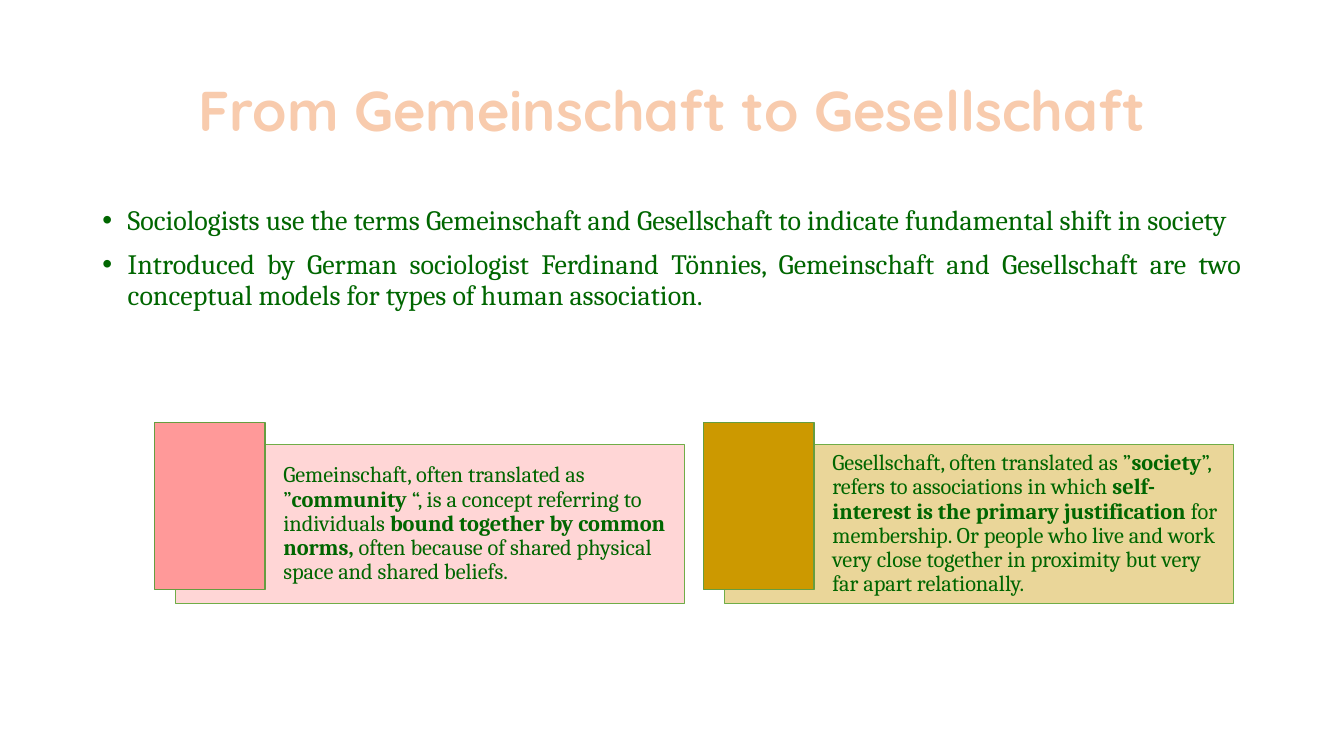
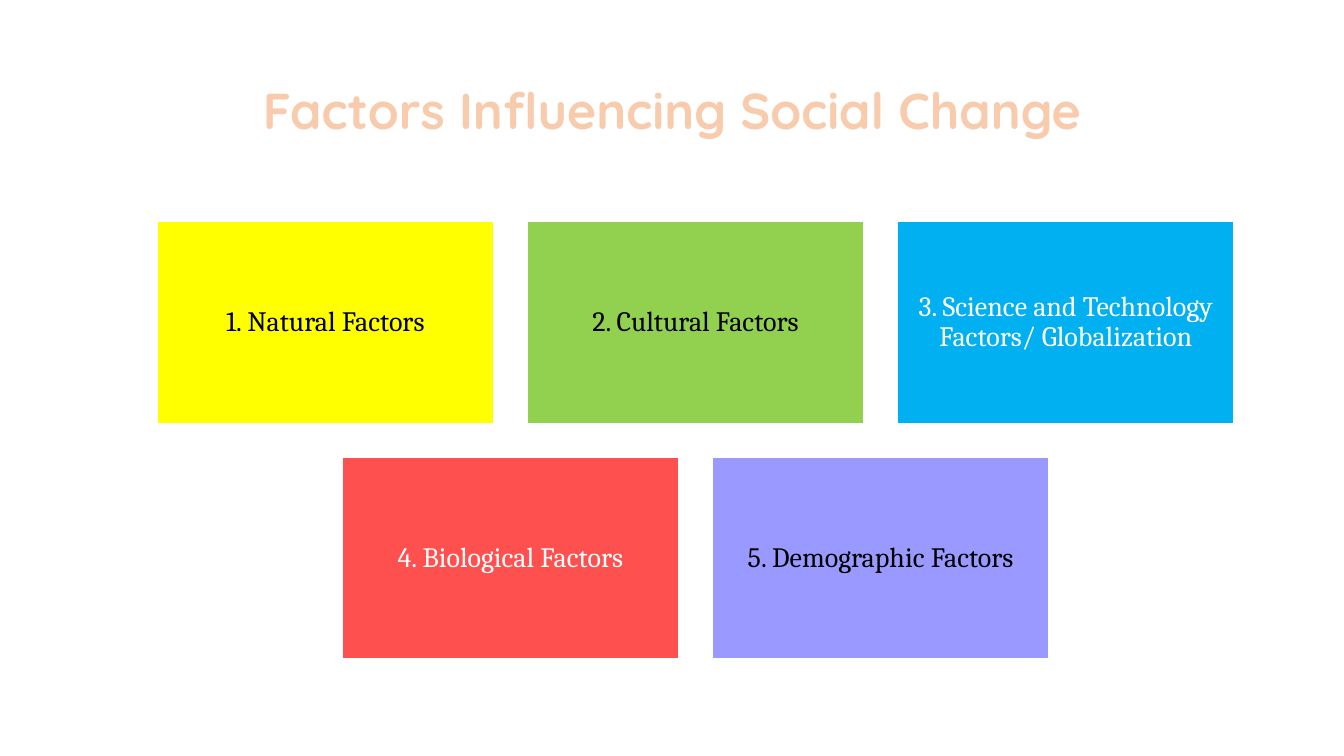
from lxml.etree import SubElement
from pptx import Presentation
from pptx.dml.color import RGBColor
from pptx.enum.shapes import MSO_SHAPE
from pptx.enum.text import MSO_ANCHOR, PP_ALIGN
from pptx.oxml.ns import qn
from pptx.util import Cm, Pt

BLACK, WHITE, GREEN = "000000", "FFFFFF", "006600"
PEACH, ORANGE = "F8CBAD", "ED7D31"
PANEL_LINE, TAB_LINE = "70AD47", "669D40"
SLIDE_WIDTH, SLIDE_HEIGHT = 33.87, 19.05
CONTENT_LEFT, CONTENT_WIDTH = 2.33, 29.21


def rgb(color):
    return RGBColor.from_string(color)


class Deck:
    """Holds the shared style and the slide being built."""

    title_font, body_font = "Quicksand", "Cambria"
    line_spacing = 0.9

    def __init__(self):
        self.presentation = Presentation()
        self.presentation.slide_width = Cm(SLIDE_WIDTH)
        self.presentation.slide_height = Cm(SLIDE_HEIGHT)
        self.slide = None

    def add_slide(self, title, size):
        blank = self.presentation.slide_layouts[6]
        self.slide = self.presentation.slides.add_slide(blank)
        frame = self.text_box(CONTENT_LEFT, 1.02, CONTENT_WIDTH, 3.68)
        frame.vertical_anchor = MSO_ANCHOR.MIDDLE
        heading = frame.paragraphs[0]
        self.set_text(heading, [title], size, PEACH, PP_ALIGN.CENTER, self.title_font)
        heading.font.bold = True
        self.outline_text(heading, ORANGE, 1.75)

    def text_box(self, left, top, width, height):
        box = self.slide.shapes.add_textbox(Cm(left), Cm(top), Cm(width), Cm(height))
        box.text_frame.word_wrap = True
        return box.text_frame

    def set_text(self, paragraph, parts, size, color, align, font=body_font):
        """Fill a paragraph; every second part is bold."""
        paragraph.alignment = align
        paragraph.line_spacing = self.line_spacing
        paragraph.font.name = font
        paragraph.font.size = Pt(size)
        paragraph.font.color.rgb = rgb(color)
        for index, part in enumerate(parts):
            run = paragraph.add_run()
            run.text = part
            if index % 2:
                run.font.bold = True

    def outline_text(self, paragraph, color, width):
        properties = paragraph._p.get_or_add_pPr().find(qn("a:defRPr"))
        line = SubElement(properties, qn("a:ln"), w=str(Pt(width)))
        fill = SubElement(line, qn("a:solidFill"))
        SubElement(fill, qn("a:srgbClr"), val=color)
        properties.insert(0, line)

    def bullets(self, items, left, top, width, height):
        frame = self.text_box(left, top, width, height)
        for index, item in enumerate(items):
            paragraph = frame.add_paragraph() if index else frame.paragraphs[0]
            paragraph.space_before = Pt(10)
            properties = paragraph._p.get_or_add_pPr()
            properties.set("marL", str(Cm(0.64)))
            properties.set("indent", str(-Cm(0.64)))
            SubElement(properties, qn("a:buFont"), typeface="Arial")
            SubElement(properties, qn("a:buChar"), char="•")
            self.set_text(paragraph, [item], 20, GREEN, PP_ALIGN.JUSTIFY)

    def rectangle(self, left, top, width, height, fill, line, line_width=1, opacity=100):
        shape = self.slide.shapes.add_shape(
            MSO_SHAPE.RECTANGLE, Cm(left), Cm(top), Cm(width), Cm(height))
        shape.shadow.inherit = False
        shape.fill.solid()
        shape.fill.fore_color.rgb = rgb(fill)
        shape.line.color.rgb = rgb(line)
        shape.line.width = Pt(line_width)
        if opacity < 100:
            color = shape._element.spPr.find(qn("a:solidFill")).find(qn("a:srgbClr"))
            SubElement(color, qn("a:alpha"), val=str(opacity * 1000))
        return shape

    def label(self, shape, parts, size, color, align, inset, left_inset):
        frame = shape.text_frame
        frame.word_wrap = True
        frame.vertical_anchor = MSO_ANCHOR.MIDDLE
        frame.margin_left = Cm(left_inset)
        frame.margin_top = frame.margin_right = frame.margin_bottom = Cm(inset)
        self.set_text(frame.paragraphs[0], parts, size, color, align)

    def concept(self, left, top, color, parts):
        """A pale text panel with a solid tab over its upper left corner."""
        panel = self.rectangle(left + 0.53, top + 0.56, 12.83, 4.01,
                               color, PANEL_LINE, 0.5, opacity=40)
        self.label(panel, parts, 16, GREEN, PP_ALIGN.LEFT, 0.18, 2.72)
        self.rectangle(left, top, 2.79, 4.22, color, TAB_LINE)

    def tile_rows(self, rows, center, top, width, height, gap):
        """Rows of equal tiles, each row centred."""
        for row_index, row in enumerate(rows):
            row_width = len(row) * (width + gap) - gap
            for column, (text, fill, color) in enumerate(row):
                tile = self.rectangle(center - row_width / 2 + column * (width + gap),
                                      top + row_index * (height + gap),
                                      width, height, fill, WHITE)
                self.label(tile, [text], 20, color, PP_ALIGN.CENTER, 0.2, 0.2)


def build_concepts(deck):
    deck.add_slide("From Gemeinschaft to Gesellschaft", 40)
    deck.bullets([
        "Sociologists use the terms Gemeinschaft and Gesellschaft to indicate "
        "fundamental shift in society",
        "Introduced by German sociologist Ferdinand Tönnies, Gemeinschaft and "
        "Gesellschaft are two conceptual models for types of human association.",
    ], CONTENT_LEFT, 5.08, CONTENT_WIDTH, 4.47)
    concepts = [
        ("FF9999", ["Gemeinschaft, often translated as ”", "community",
                    " “, is a concept referring to individuals ",
                    "bound together by common norms,",
                    " often because of shared physical space and shared beliefs."]),
        ("CC9900", ["Gesellschaft, often translated as ”", "society",
                    "”, refers to associations in which ",
                    "self-interest is the primary justification ",
                    "for membership. Or people who live and work very close together "
                    "in proximity but very far apart relationally."]),
    ]
    for index, (color, parts) in enumerate(concepts):
        deck.concept(3.89 + index * 13.84, 10.64, color, parts)


def build_factors(deck):
    deck.add_slide("Factors Influencing Social Change", 36)
    deck.tile_rows([
        [("1. Natural Factors", "FFFF00", BLACK),
         ("2. Cultural Factors", "92D050", BLACK),
         ("3. Science and Technology Factors/ Globalization", "00B0F0", WHITE)],
        [("4. Biological Factors", "FF5050", WHITE),
         ("5. Demographic Factors", "9999FF", BLACK)],
    ], center=17.53, top=5.59, width=8.48, height=5.08, gap=0.85)


def main():
    deck = Deck()
    build_concepts(deck)
    build_factors(deck)
    deck.presentation.save("out.pptx")


if __name__ == "__main__":
    main()
